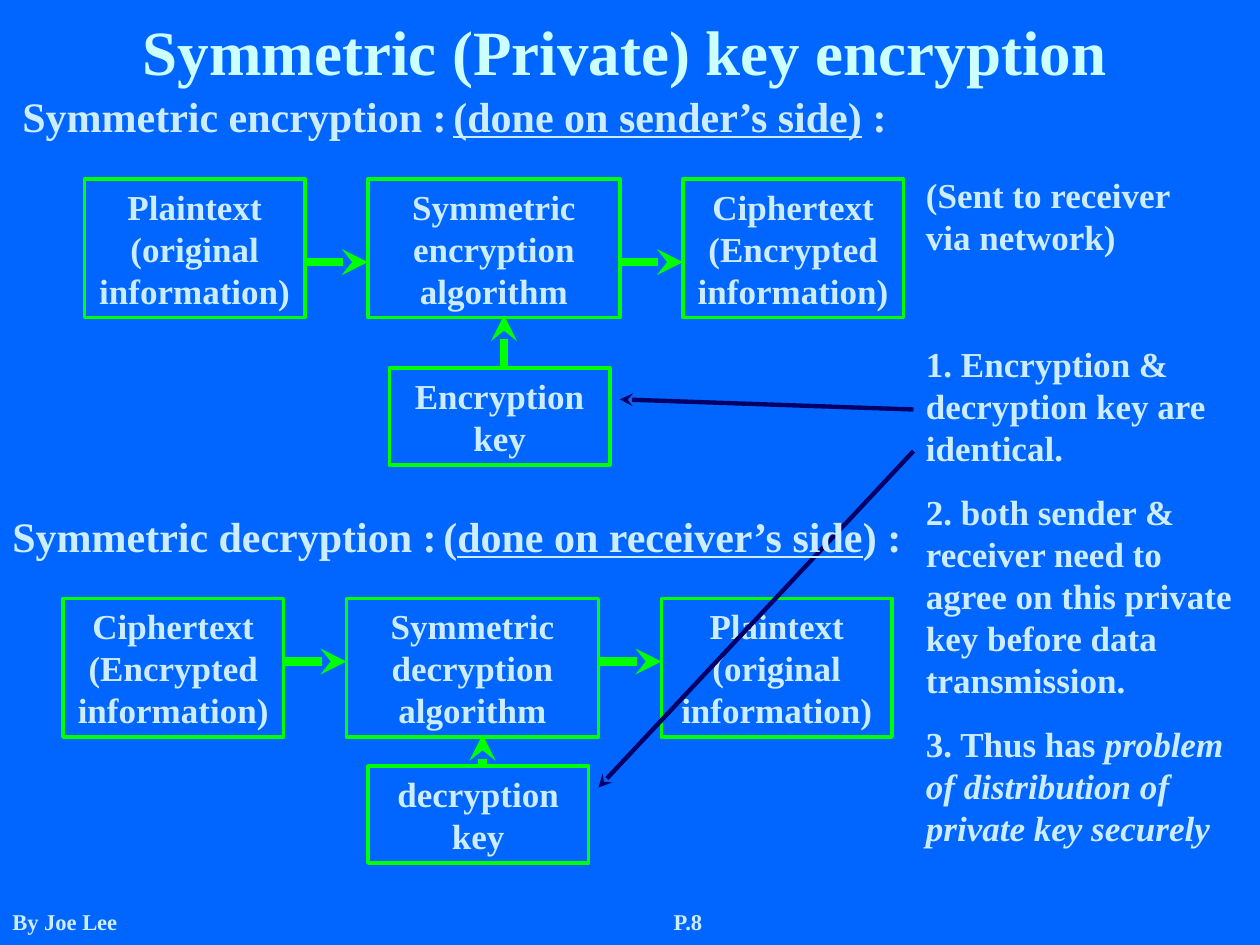
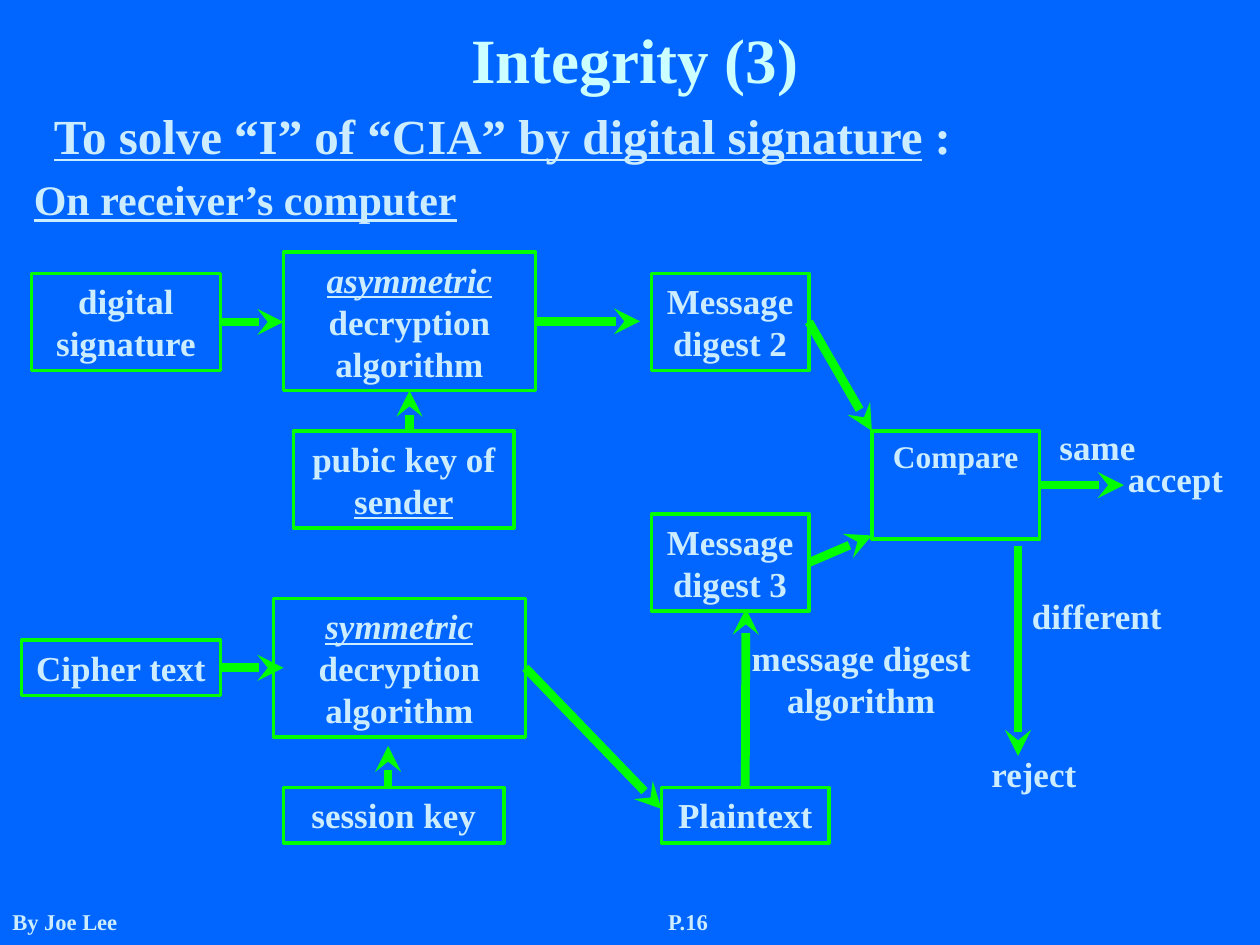
from dataclasses import dataclass

from lxml.etree import SubElement
from pptx import Presentation
from pptx.dml.color import RGBColor
from pptx.enum.shapes import MSO_CONNECTOR, MSO_SHAPE
from pptx.enum.text import MSO_ANCHOR, PP_ALIGN
from pptx.oxml.ns import qn
from pptx.util import Inches, Pt


@dataclass(frozen=True)
class Theme:
    font: str = "Times New Roman"
    background: RGBColor = RGBColor(0x00, 0x66, 0xFF)
    title: RGBColor = RGBColor(0xCC, 0xFF, 0xFF)
    text: RGBColor = RGBColor(0xCC, 0xEC, 0xFF)
    flow: RGBColor = RGBColor(0x00, 0xFF, 0x00)
    pointer: RGBColor = RGBColor(0x00, 0x00, 0x66)
    title_size: float = 36
    subtitle_size: float = 28
    heading_size: float = 24
    body_size: float = 20
    small_size: float = 18
    footer_size: float = 12.9
    box_line: float = 2
    flow_line: float = 5
    pointer_line: float = 2.5


THEME = Theme()
LEFT, CENTER = PP_ALIGN.LEFT, PP_ALIGN.CENTER
TOP, BOTTOM, RIGHT = 0, 2, 3  # connection sites of a rectangle


# Shared helpers
def style_font(font, size, color):
    font.name = THEME.font
    font.size = Pt(size)
    font.bold = True
    font.color.rgb = color


def write(frame, paragraphs, size, align, color=THEME.text):
    """Each paragraph is a string or a list of (text, style); style holds "i" and "u"."""
    frame.word_wrap = True
    frame.vertical_anchor = MSO_ANCHOR.TOP
    for index, runs in enumerate(paragraphs):
        paragraph = frame.add_paragraph() if index else frame.paragraphs[0]
        paragraph.alignment = align
        paragraph.space_before = Pt(12.5 if index else 0)
        style_font(paragraph.font, size, color)
        for text, style in [(runs, "")] if isinstance(runs, str) else runs:
            run = paragraph.add_run()
            run.text = text
            if "i" in style:
                run.font.italic = True
            if "u" in style:
                run.font.underline = True


def add_text(slide, box, *paragraphs, size=THEME.body_size, align=LEFT):
    shape = slide.shapes.add_textbox(*map(Inches, box))
    write(shape.text_frame, paragraphs, size, align)


def add_box(slide, box, text, size=THEME.body_size):
    shape = slide.shapes.add_shape(MSO_SHAPE.RECTANGLE, *map(Inches, box))
    shape.shadow.inherit = False
    shape.fill.background()
    shape.line.color.rgb = THEME.flow
    shape.line.width = Pt(THEME.box_line)
    write(shape.text_frame, [text], size, CENTER)
    return shape


def add_arrow(slide, start, end, color=THEME.flow, width=THEME.flow_line):
    """Each end is a point (x, y) or a joint (shape, site)."""
    points = [(0, 0) if hasattr(place[0], "shape_id") else place for place in (start, end)]
    connector = slide.shapes.add_connector(
        MSO_CONNECTOR.STRAIGHT, *(Inches(value) for point in points for value in point))
    for place, connect in ((start, connector.begin_connect), (end, connector.end_connect)):
        if hasattr(place[0], "shape_id"):
            connect(*place)
    connector.line.color.rgb = color
    connector.line.width = Pt(width)
    SubElement(connector.line._get_or_add_ln(), qn("a:tailEnd"), type="stealth")
    SubElement(connector._element.spPr, qn("a:effectLst"))


def add_slide(presentation, title, title_box, page):
    slide = presentation.slides.add_slide(presentation.slide_layouts[5])
    shape = slide.shapes.title
    shape.left, shape.top, shape.width, shape.height = map(Inches, title_box)
    frame = shape.text_frame
    frame.margin_left = frame.margin_right = frame.margin_top = frame.margin_bottom = 0
    write(frame, [title], THEME.title_size, CENTER, THEME.title)
    # Footer
    add_text(slide, (0, 7.16, 3.17, 0.34), "By Joe Lee", size=THEME.footer_size)
    add_text(slide, (4.42, 7.16, 2.08, 0.34), page, size=THEME.footer_size, align=CENTER)
    return slide


# Symmetric key slide
def add_cipher_row(slide, left, top, texts, key, last_width, arrow_drop, key_drop):
    """Three boxes in a row with a key feeding the middle one."""
    offsets, widths = (0, 2.25, 4.75), (1.75, 2, last_width)
    for offset, width, text in zip(offsets, widths, texts):
        add_box(slide, (left + offset, top, width, 1.1), text)
    for offset in offsets[1:]:
        add_arrow(slide, (left + offset - 0.5, top + arrow_drop),
                  (left + offset, top + arrow_drop))
    add_box(slide, (left + 2.42, top + key_drop, 1.75, 0.77), key)
    add_arrow(slide, (left + 3.33, top + key_drop), (left + 3.33, top + 1.08))


def add_row_heading(slide, left, top, name, side_offset, side):
    add_text(slide, (left, top, 3.6, 0.5), name, size=THEME.heading_size)
    add_text(slide, (left + side_offset, top, 4, 0.5), side, size=THEME.heading_size)


def add_key_notes(slide, left, top):
    add_text(slide, (left, top, 2.25, 0.77), "(Sent to receiver via network)")
    add_text(slide, (left, top + 1.34, 2.75, 4.12),
             "1. Encryption & decryption key are identical.",
             "2. both sender & receiver need to agree on this private key "
             "before data transmission.",
             [("3. Thus has ", ""),
              ("problem of distribution of private key securely", "i")])


def build_symmetric_slide(presentation):
    slide = add_slide(presentation, "Symmetric (Private) key encryption",
                      (0.25, 0.1, 9.42, 0.5), "P.8")
    plain, cipher = "Plaintext (original information)", "Ciphertext (Encrypted information)"
    add_cipher_row(slide, 0.67, 1.42, (plain, "Symmetric encryption algorithm", cipher),
                   "Encryption key", last_width=1.75, arrow_drop=0.66, key_drop=1.5)
    add_cipher_row(slide, 0.5, 4.75, (cipher, "Symmetric decryption algorithm", plain),
                   "decryption key", last_width=1.83, arrow_drop=0.5, key_drop=1.33)
    # Pointers from the first note to both keys
    for start, end in (((7.25, 3.25), (4.92, 3.17)), ((7.25, 3.58), (4.75, 6.25))):
        add_arrow(slide, start, end, THEME.pointer, THEME.pointer_line)
    add_row_heading(slide, 0.08, 0.67, "Symmetric encryption :", 3.42,
                    [("(done on sender’s side)", "u"), (" :", "")])
    add_row_heading(slide, 0, 4, "Symmetric decryption :", 3.42,
                    [("(", ""), ("done on receiver’s side", "u"), (") :", "")])
    add_key_notes(slide, 7.25, 1.33)


# Integrity slide
def add_decryption_lane(slide, left, top, source, kind, key, shift, source_drop,
                        height, key_drop, key_x, key_tip=None):
    """Input box, algorithm and its key; returns the algorithm box."""
    input_box = add_box(slide, (left + shift, top + source_drop, 1.58 - shift, height), source)
    algorithm = add_box(slide, (left + 2 + shift, top, 2, 1.1),
                        [(kind, "iu"), (" decryption algorithm", "")])
    add_box(slide, (left + 2.08 + shift, top + key_drop, 1.75, height), key)
    middle = top + source_drop + height / 2
    add_arrow(slide, (input_box, RIGHT), (left + 2.08, middle))
    tip = (left + key_x, top + key_tip) if key_tip else (algorithm, BOTTOM)
    add_arrow(slide, (left + key_x, top + key_drop), tip)
    return algorithm


def add_digests(slide, left, top):
    """Both digests and the plaintext below; returns the second digest."""
    second, third = (add_box(slide, (left, top + drop, 1.25, 0.77), f"Message digest {number}")
                     for number, drop in ((2, 0), (3, 1.91)))
    plaintext = add_box(slide, (left + 0.08, top + 4.08, 1.33, 0.44), "Plaintext")
    add_arrow(slide, (second, RIGHT), (left + 1.75, top + 1.25))
    add_arrow(slide, (third, RIGHT), (left + 1.75, top + 2.08))
    add_arrow(slide, (plaintext, TOP), (left + 0.75, top + 2.66))
    add_text(slide, (left + 0.58, top + 2.83, 2.17, 0.77),
             "message digest algorithm", align=CENTER)


def add_comparison(slide, left, top):
    compare = add_box(slide, (left, top, 1.33, 0.86), "Compare", THEME.small_size)
    add_arrow(slide, (compare, RIGHT), (left + 2, top + 0.43))
    add_arrow(slide, (left + 1.16, top + 0.91), (left + 1.16, top + 2.58))
    for label, x, y, width in (("same", 1.33, -0.09, 0.92), ("accept", 1.91, 0.16, 1),
                               ("different", 1.16, 1.25, 1.25), ("reject", 0.66, 2.5, 1.25)):
        add_text(slide, (left + x, top + y, width, 0.44), label, align=CENTER)


def build_integrity_slide(presentation):
    slide = add_slide(presentation, "Integrity (3)", (0.25, 0.16, 9.58, 0.58), "P.16")
    add_text(slide, (0.33, 0.79, 9.33, 0.58),
             [("To solve “I” of “CIA” by digital signature", "u"), (" :", "")],
             size=THEME.subtitle_size)
    add_text(slide, (0.17, 1.33, 3.58, 0.5), [("On receiver’s computer", "u")],
             size=THEME.heading_size)
    asymmetric = add_decryption_lane(
        slide, 0.17, 2, "digital signature", "asymmetric",
        [("pubic key of ", ""), ("sender", "u")],
        shift=0.08, source_drop=0.17, height=0.77, key_drop=1.42, key_x=3.08)
    symmetric = add_decryption_lane(
        slide, 0.17, 4.75, "Cipher text", "symmetric", "session key",
        shift=0, source_drop=0.33, height=0.44, key_drop=1.5, key_x=2.91, key_tip=1.17)
    add_digests(slide, 5.17, 2.17)
    add_comparison(slide, 6.92, 3.42)
    # Algorithm outputs
    add_arrow(slide, (asymmetric, RIGHT), (5.08, 2.55))
    add_arrow(slide, (symmetric, RIGHT), (5.25, 6.42))


def main():
    presentation = Presentation()
    presentation.slide_width, presentation.slide_height = Inches(10), Inches(7.5)
    fill = presentation.slide_master.background.fill
    fill.solid()
    fill.fore_color.rgb = THEME.background
    build_symmetric_slide(presentation)
    build_integrity_slide(presentation)
    presentation.save("out.pptx")


if __name__ == "__main__":
    main()
